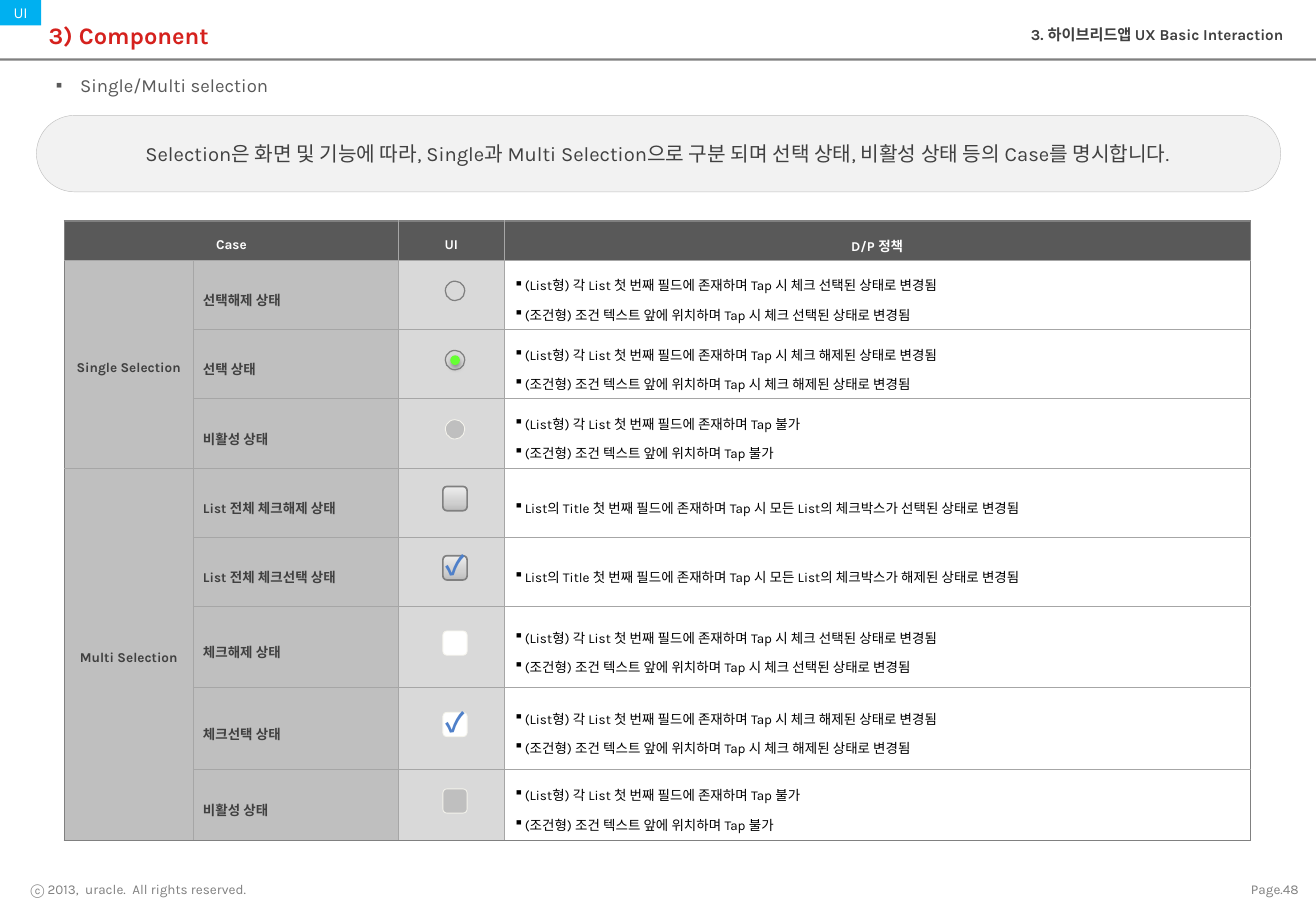
from copy import deepcopy
from dataclasses import dataclass

from lxml import etree
from pptx import Presentation
from pptx.dml.color import RGBColor
from pptx.enum.shapes import MSO_SHAPE
from pptx.enum.text import MSO_ANCHOR, MSO_AUTO_SIZE, PP_ALIGN
from pptx.oxml.ns import qn
from pptx.util import Inches, Pt

RECT, ROUND, OVAL = MSO_SHAPE.RECTANGLE, MSO_SHAPE.ROUNDED_RECTANGLE, MSO_SHAPE.OVAL
TOP, MID = MSO_ANCHOR.TOP, MSO_ANCHOR.MIDDLE
LEFT, MIDST, RIGHT = PP_ALIGN.LEFT, PP_ALIGN.CENTER, PP_ALIGN.RIGHT
FIXED = MSO_AUTO_SIZE.NONE


@dataclass(frozen=True)
class Theme:
    latin: str = "Karla"
    asian: str = "Noto Sans CJK KR"
    white: str = "FFFFFF"
    black: str = "000000"
    ink: str = "404040"
    head: str = "595959"
    gray: str = "808080"
    grid: str = "A6A6A6"
    mute: str = "BFBFBF"
    cell: str = "D9D9D9"
    pale: str = "F2F2F2"
    rim: str = "F5F4ED"
    red: str = "D5211D"
    blue: str = "00B0F0"
    tick: str = "4F80C9"
    lime: str = "66FF33"
    shade: tuple = ((0, "BCBCBC"), (0.35, "D0D0D0"), (1, "EDEDED"))
    tiny: int = 8
    small: int = 9
    topic: int = 11
    body: int = 12
    title: int = 14
    check: int = 16


T = Theme()


def tap(end):
    return [f"(List형) 각 List 첫 번째 필드에 존재하며 Tap {end}",
            f"(조건형) 조건 텍스트 앞에 위치하며 Tap {end}"]


def whole(end):
    return [f"List의 Title 첫 번째 필드에 존재하며 Tap 시 모든 List의 체크박스가 {end}된 상태로 변경됨"]


ON, OFF, DEAD = tap("시 체크 선택된 상태로 변경됨"), tap("시 체크 해제된 상태로 변경됨"), tap("불가")
HEADS = ["Case", None, "UI", "D/P 정책"]
CASES = [
    ("선택해제 상태", "ring", ON),
    ("선택 상태", "radio", OFF),
    ("비활성 상태", "dot", DEAD),
    ("List 전체 체크해제 상태", "all", whole("선택")),
    ("List 전체 체크선택 상태", "all tick", whole("해제")),
    ("체크해제 상태", "box", ON),
    ("체크선택 상태", "box tick", OFF),
    ("비활성 상태", "dead", DEAD),
]
GROUPS = {1: ("Single Selection", 3), 4: ("Multi Selection", 5)}
COLS = [1.06, 1.69, 0.87, 6.14]
ROWS = [0.3] + [0.57] * 5 + [0.67] * 2 + [0.59]


def rgb(tone):
    return RGBColor.from_string(tone)


def put(frame, lines, size=T.tiny, color=T.ink, bold=False, align=LEFT, font=T.latin,
        lead=1.0, hang=0, mark=None):
    for n, line in enumerate(lines):
        para = frame.paragraphs[0] if n == 0 else frame.add_paragraph()
        props = para._p.get_or_add_pPr()
        props.set("marL", str(Inches(hang)))
        props.set("indent", str(-Inches(hang)))
        sign = etree.SubElement(props, qn("a:buChar" if mark else "a:buNone"))
        if mark:
            sign.set("char", mark)
        para.alignment, para.line_spacing, para.space_before = align, lead, Pt(0)
        run = para.add_run()
        run.text = line
        run.font.size, run.font.bold, run.font.name = Pt(size), bold, font
        run.font.color.rgb = rgb(color)
        east = etree.SubElement(run._r.get_or_add_rPr(), qn("a:ea"))
        east.set("typeface", T.asian)


def fit(host, side, rise, anchor=MID):
    host.margin_left = host.margin_right = Inches(side)
    host.margin_top = host.margin_bottom = Inches(rise)
    host.vertical_anchor = anchor


def draw(slide, kind, box, fill=None, line=None, width=0.5, bend=None):
    shape = slide.shapes.add_shape(kind, *map(Inches, box))
    shape.shadow.inherit = False
    if bend is not None:
        shape.adjustments[0] = bend
    if fill is None:
        shape.fill.background()
    elif isinstance(fill, tuple):
        shape.fill.gradient()
        shape.fill.gradient_angle = 90
        stops = shape._element.spPr.find(qn("a:gradFill")).find(qn("a:gsLst"))
        stops.insert(1, deepcopy(stops[0]))
        for stop, (spot, tone) in zip(shape.fill.gradient_stops, fill):
            stop.position, stop.color.rgb = spot, rgb(tone)
    else:
        shape.fill.solid()
        shape.fill.fore_color.rgb = rgb(fill)
    if line:
        shape.line.color.rgb, shape.line.width = rgb(line), Pt(width)
    else:
        shape.line.fill.background()
    return shape


def glow(shape):
    cast = etree.SubElement(shape._element.spPr.find(qn("a:effectLst")), qn("a:outerShdw"),
                            blurRad=str(Pt(3.1)), dist=str(Pt(1.8)), dir="5400000", rotWithShape="0")
    tone = etree.SubElement(cast, qn("a:srgbClr"), val=T.black)
    etree.SubElement(tone, qn("a:alpha"), val="35000")


def label(slide, box, text, **form):
    area = slide.shapes.add_textbox(*map(Inches, box))
    area.text_frame.word_wrap = False
    fit(area.text_frame, 0.09, 0.04)
    put(area.text_frame, [text], **form)


def hold(slide, slot, box, text, anchor=MID, **form):
    area = slide.placeholders[slot]
    slide.shapes._spTree.append(area._element)
    area.left, area.top, area.width, area.height = map(Inches, box)
    area.text_frame.word_wrap, area.text_frame.auto_size = True, FIXED
    fit(area.text_frame, 0.1, 0.05, anchor)
    put(area.text_frame, [text], **form)


def header(slide, x, y, w):
    draw(slide, RECT, (x, y + 0.48, w, 0.02), T.gray)
    tag = draw(slide, RECT, (x, y, 0.34, 0.21), T.blue)
    tag.text_frame.word_wrap = False
    fit(tag.text_frame, 0.1, 0)
    put(tag.text_frame, ["UI"], size=T.small, color=T.white, align=MIDST)
    hold(slide, 0, (x + 0.3, y + 0.08, 6.5, 0.41), "3) Component", size=T.title, color=T.red, bold=True)
    hold(slide, 3, (x + w - 3.95, y + 0.16, 3.78, 0.28), "3. 하이브리드앱 UX Basic Interaction",
         anchor=TOP, size=T.small, bold=True, align=RIGHT, hang=0.38)


def intro(slide, x, y, w):
    hold(slide, 2, (x + 0.06, y, 9.39, 0.28), "Single/Multi selection",
         size=T.topic, color=T.head, hang=0.2, mark="▪")
    draw(slide, ROUND, (x, y + 0.39, w, 0.63), T.pale, T.mute, 0.25, bend=0.5)
    hold(slide, 1, (x + 0.21, y + 0.47, w - 0.44, 0.47),
         "Selection은 화면 및 기능에 따라, Single과 Multi Selection으로 구분 되며 선택 상태, 비활성 상태 등의 Case를 명시합니다.",
         size=T.body, align=MIDST, hang=0.38)


def edge(cell, sides):
    props = cell._tc.get_or_add_tcPr()
    for side, outer in zip("LRTB", sides):
        line = etree.SubElement(props, qn(f"a:ln{side}"), w=str(Pt(1 if outer else 0.25)))
        fill = etree.SubElement(line, qn("a:solidFill"))
        etree.SubElement(fill, qn("a:srgbClr"), val=T.gray if outer else T.grid)


def icon(slide, kind, x, y):
    def at(size):
        return x - size / 2, y - size / 2, size, size

    if kind == "radio":
        glow(draw(slide, OVAL, at(0.08), T.lime))
    if kind in ("ring", "radio"):
        draw(slide, OVAL, at(0.16), None, T.gray, 0.75)
    elif kind == "dot":
        draw(slide, OVAL, at(0.16), T.mute, T.rim)
    else:
        look = {"all": (T.shade, T.gray, 1), "box": (T.white, T.rim), "dead": (T.mute, T.rim)}
        box = draw(slide, ROUND, at(0.2), *look[kind.split()[0]], bend=0.17)
        if kind.endswith("tick"):
            box.text_frame.word_wrap = False
            fit(box.text_frame, 0, 0)
            put(box.text_frame, ["✓"], size=T.check, color=T.tick, bold=True,
                align=MIDST, font=T.asian, lead=0.8)


def chart(slide, x, y):
    table = slide.shapes.add_table(len(ROWS), len(COLS), Inches(x), Inches(y),
                                   Inches(sum(COLS)), Inches(sum(ROWS))).table
    table.first_row = table.horz_banding = False
    for col, size in zip(table.columns, COLS):
        col.width = Inches(size)
    for row, size in zip(table.rows, ROWS):
        row.height = Inches(size)
    table.cell(0, 0).merge(table.cell(0, 1))
    for top, (name, span) in GROUPS.items():
        table.cell(top, 0).merge(table.cell(top + span - 1, 0))
    for r in range(len(ROWS)):
        for c in range(len(COLS)):
            cell = table.cell(r, c)
            last = r + (cell.span_height if cell.is_merge_origin else 1) == len(ROWS)
            edge(cell, (c == 0, c == len(COLS) - 1, r == 0, last))
            cell.fill.solid()
            cell.fill.fore_color.rgb = rgb(T.head if r == 0 else (T.mute, T.mute, T.cell, T.white)[c])
            fit(cell, 0.08, 0.05 if r and c < 2 else 0.04)
    for c, name in enumerate(HEADS):
        if name:
            put(table.cell(0, c).text_frame, [name], color=T.white, bold=True, align=MIDST, lead=1.5)
    for top, (name, span) in GROUPS.items():
        put(table.cell(top, 0).text_frame, [name], bold=True, align=MIDST, lead=1.5)
    mid = x + sum(COLS[:2]) + COLS[2] / 2 + 0.03
    for r, (name, kind, rules) in enumerate(CASES, 1):
        put(table.cell(r, 1).text_frame, [name], bold=True, lead=1.5)
        put(table.cell(r, 3).text_frame, rules, color=T.black, lead=1.5, hang=0.09, mark="▪")
        icon(slide, kind, mid, y + sum(ROWS[:r]) + ROWS[r] / 2 - 0.01)


def footer(slide, x, y, w):
    label(slide, (x + 0.06, y, 2.06, 0.22), "ⓒ 2013,  uracle.  All rights reserved.",
          color=T.gray, align=RIGHT)
    label(slide, (x + w - 0.65, y, 0.6, 0.22), "Page.48", color=T.gray, align=RIGHT)


def main():
    deck = Presentation()
    deck.slide_width, deck.slide_height = Inches(10.83), Inches(7.5)
    slide = deck.slides.add_slide(deck.slide_layouts[4])
    spare = slide.placeholders[4]._element
    spare.getparent().remove(spare)
    header(slide, 0, 0, 10.83)
    intro(slide, 0.3, 0.56, 10.24)
    chart(slide, 0.53, 1.82)
    footer(slide, 0, 7.21, 10.83)
    deck.save("out.pptx")


if __name__ == "__main__":
    main()
